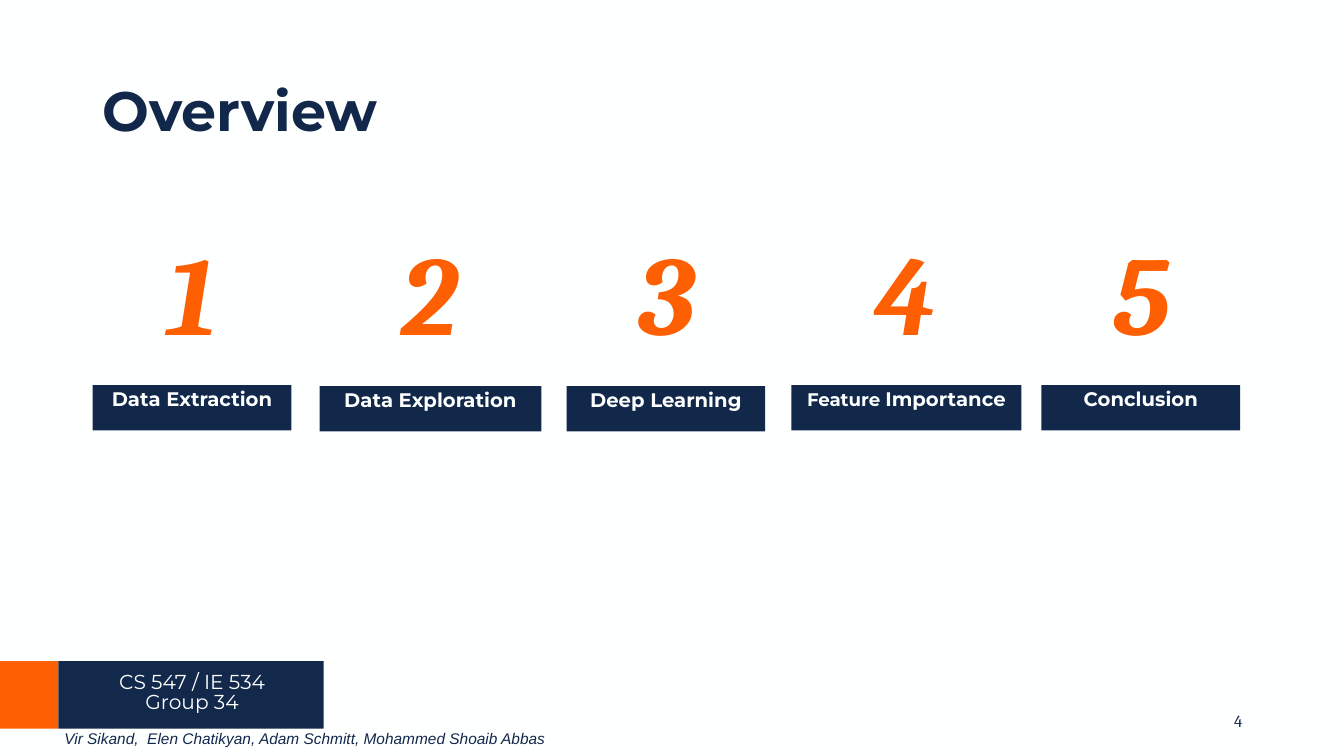
from pptx import Presentation
from pptx.dml.color import RGBColor
from pptx.enum.shapes import MSO_SHAPE
from pptx.enum.text import MSO_ANCHOR, PP_ALIGN
from pptx.util import Inches, Pt

RECT = MSO_SHAPE.RECTANGLE
TOP, MIDDLE = MSO_ANCHOR.TOP, MSO_ANCHOR.MIDDLE
LEFT, CENTER, RIGHT = PP_ALIGN.LEFT, PP_ALIGN.CENTER, PP_ALIGN.RIGHT
NAVY, ORANGE, WHITE = "12284B", "FF5F03", "FEFFFF"


def rgb(value):
    return RGBColor.from_string(value)


def add_box(box, paragraphs, font, color, fill=None, anchor=MIDDLE,
            align=LEFT, spacing=0.9, bold=False, italic=False):
    box = [Inches(v) for v in box]
    if fill:
        sp = s.shapes.add_shape(RECT, *box)
        sp.shadow.inherit = False
        sp.fill.solid()
        sp.fill.fore_color.rgb = rgb(fill)
        sp.line.fill.background()
    else:
        sp = s.shapes.add_textbox(*box)
    tf = sp.text_frame
    tf.word_wrap = True
    tf.vertical_anchor = anchor
    for i, runs in enumerate(paragraphs):
        p = tf.add_paragraph() if i else tf.paragraphs[0]
        p.alignment = align
        p.line_spacing = spacing
        for text, size in runs:
            r = p.add_run()
            r.text = text
            r.font.name = font
            r.font.size = Pt(size)
            r.font.bold = bold
            r.font.italic = italic
            r.font.color.rgb = rgb(color)


prs = Presentation()
prs.slide_width = Inches(13.33)
prs.slide_height = Inches(7.5)
s = prs.slides.add_slide(prs.slide_layouts[6])
s.background.fill.solid()
s.background.fill.fore_color.rgb = rgb(WHITE)

add_box((0.92, 0.8, 11.39, 0.66), [[("Overview", 39.6)]],
        "Montserrat", NAVY, bold=True)

sections = [
    (0.92, 3.82, 1.97, [("Data Extraction", 14)]),
    (3.17, 3.83, 2.2, [("Data Exploration", 14)]),
    (5.62, 3.83, 1.97, [("Deep Learning", 14)]),
    (7.85, 3.82, 2.28, [("Feature ", 13), ("Importance", 14)]),
    (10.33, 3.82, 1.97, [("Conclusion", 14)]),
]
for i, (left, top, width, runs) in enumerate(sections):
    add_box((1.32 + 2.355 * i, 2.38, 1.17, 1.17), [[(str(i + 1), 80)]],
            "Cambria", ORANGE, align=CENTER, bold=True, italic=True)
    add_box((left, top, width, 0.45), [runs], "Montserrat", WHITE,
            fill=NAVY, anchor=TOP, align=CENTER, bold=True)

for left, width, color in [(0, 0.58, ORANGE), (0.58, 2.63, "13294B")]:
    add_box((left, 6.56, width, 0.67), [], "Montserrat", WHITE, fill=color)

add_box((0.92, 6.64, 1.97, 0.55),
        [[("CS 547 / IE 534", 14.4)], [("Group 34", 14.4)]],
        "Montserrat", WHITE, anchor=TOP, align=CENTER, spacing=0.8)
add_box((0.54, 7.18, 5.61, 0.29),
        [[("Vir Sikand,  Elen Chatikyan, Adam Schmitt, Mohammed Shoaib Abbas", 11)]],
        "Arial", NAVY, spacing=1.0, italic=True)
add_box((9.42, 6.95, 3, 0.4), [[("4", 12)]], "Cambria", NAVY,
        align=RIGHT, spacing=1.0)

prs.save("out.pptx")
